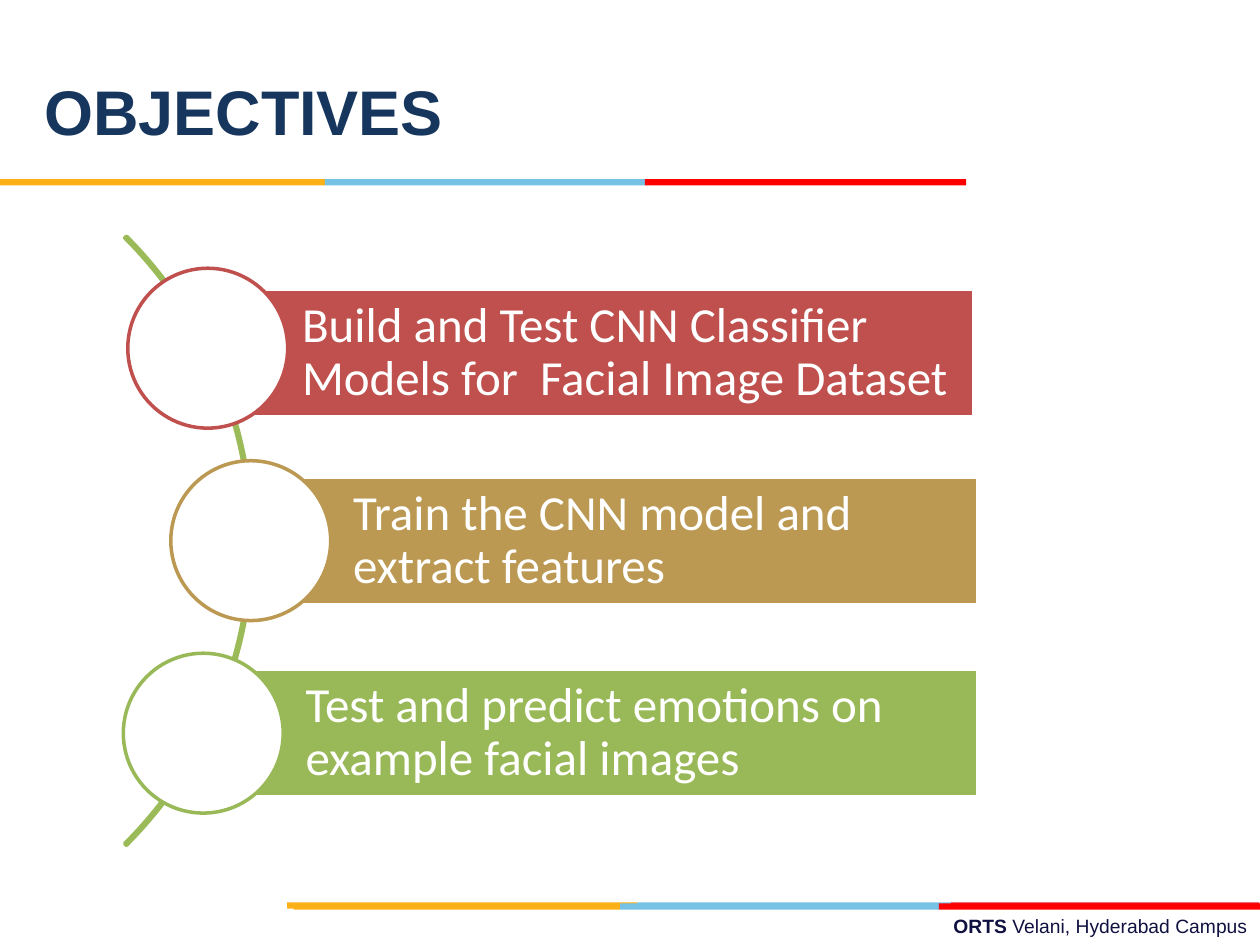
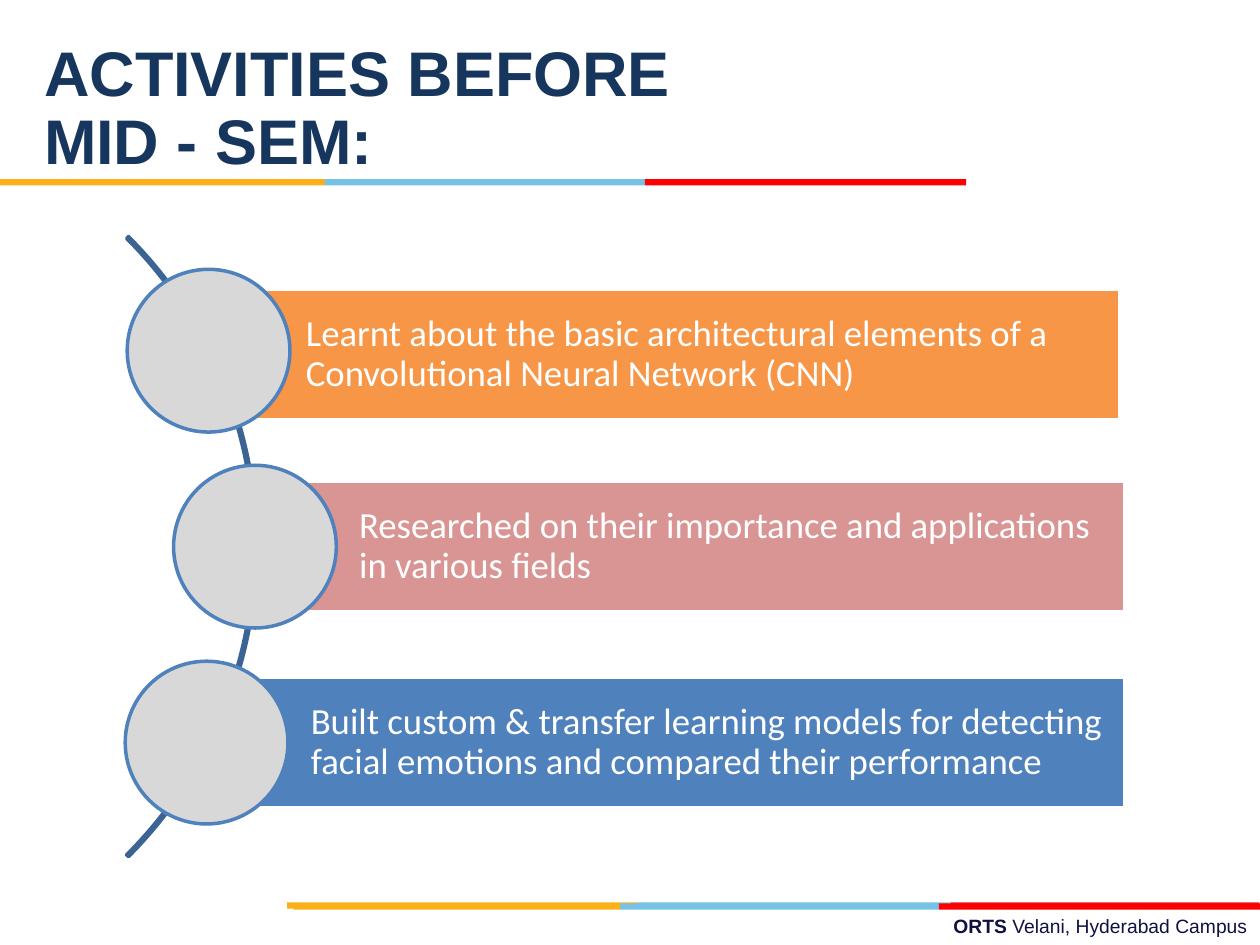
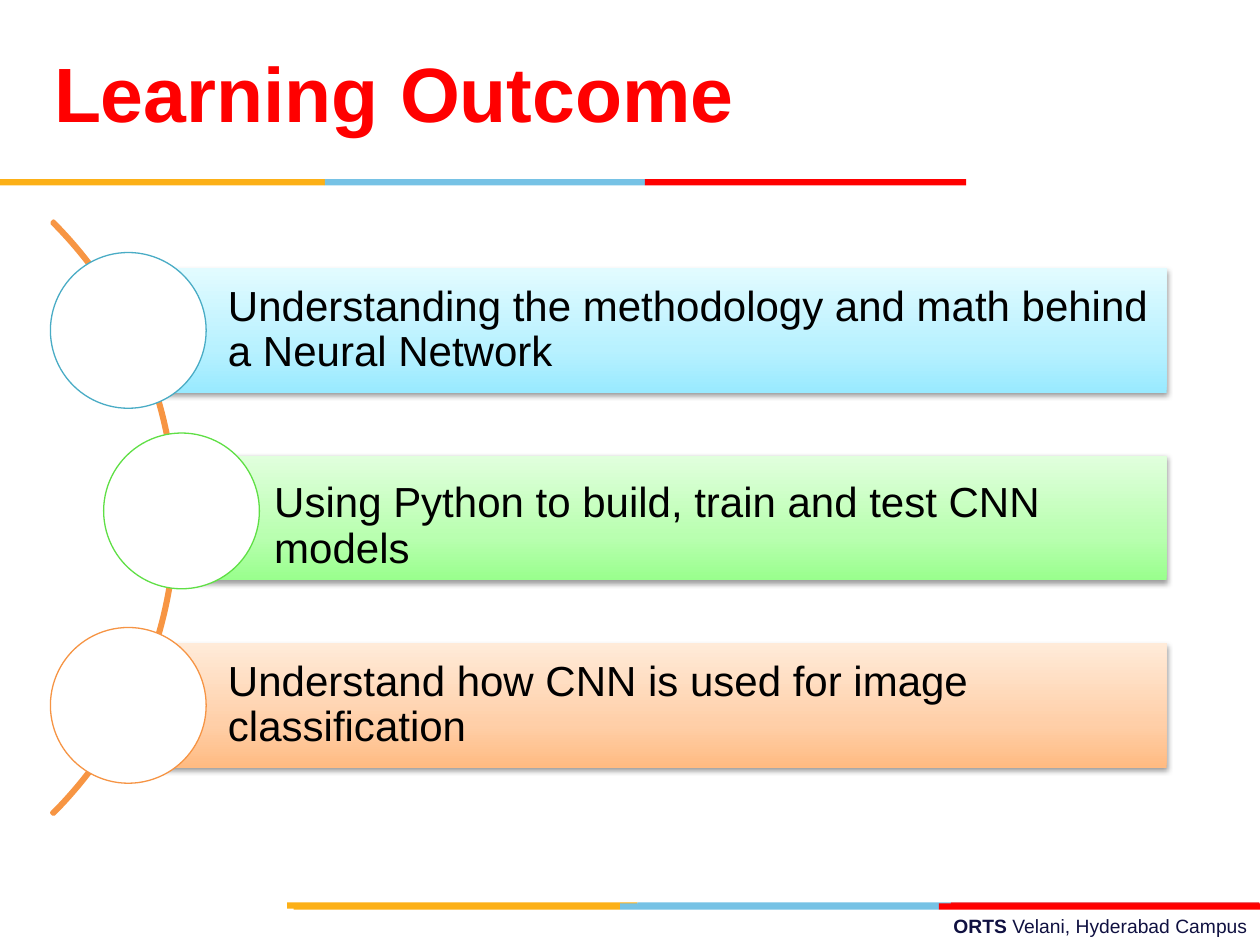
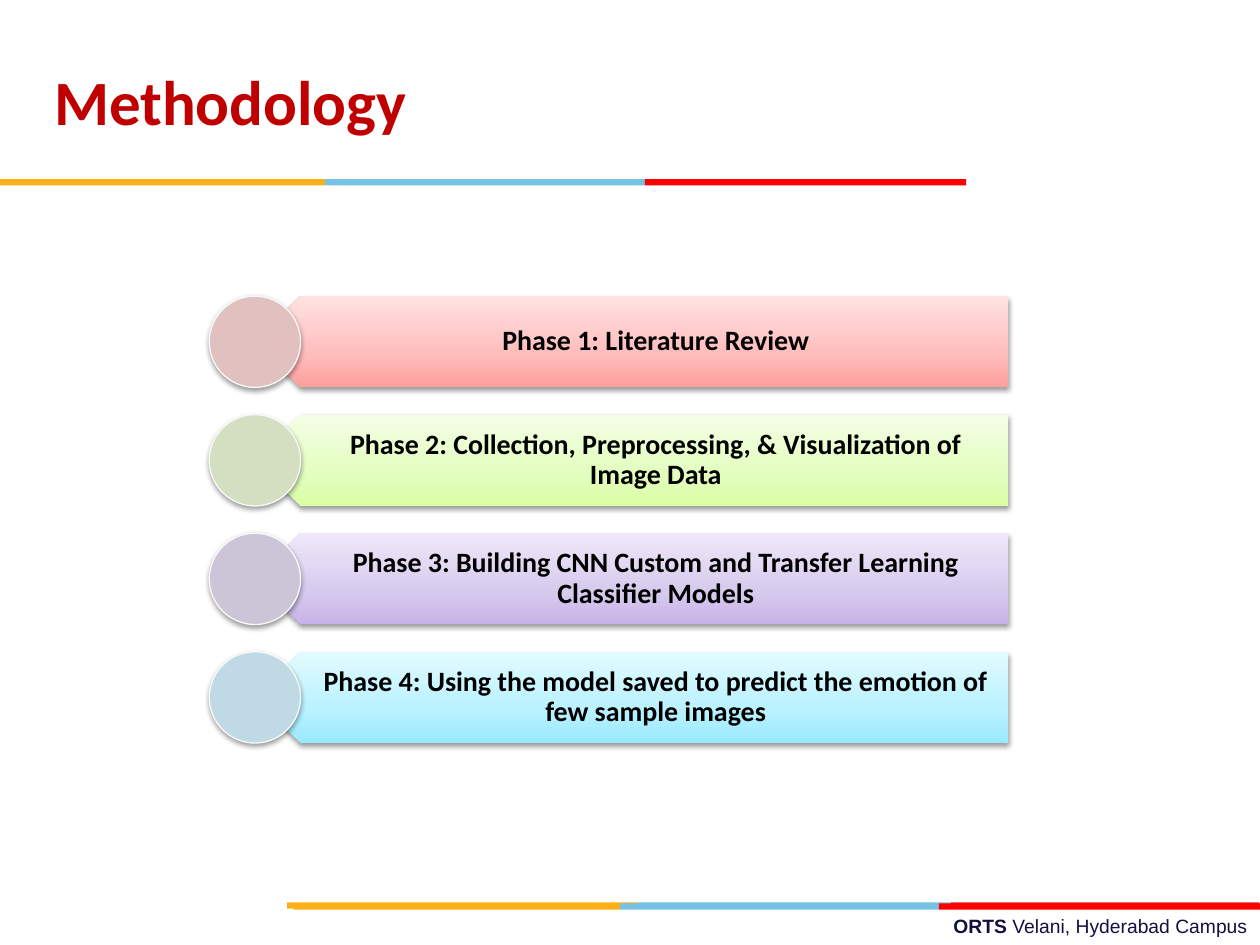
from math import sqrt

from lxml import etree
from pptx import Presentation
from pptx import util as u
from pptx.dml.color import RGBColor
from pptx.enum import shapes, text
from pptx.oxml.ns import qn

Cm, Pt = u.Cm, u.Pt
SHAPE = shapes.MSO_SHAPE
LEFT, CENTER, RIGHT = text.PP_ALIGN.LEFT, text.PP_ALIGN.CENTER, text.PP_ALIGN.RIGHT
TOP, MIDDLE = text.MSO_ANCHOR.TOP, text.MSO_ANCHOR.MIDDLE

WHITE = RGBColor(0xFF, 0xFF, 0xFF)
BLACK = RGBColor(0x00, 0x00, 0x00)
NAVY = RGBColor(0x17, 0x36, 0x5D)
INK = RGBColor(0x10, 0x11, 0x41)
AMBER = RGBColor(0xFC, 0xB0, 0x17)
SKY = RGBColor(0x76, 0xC2, 0xE5)
RED = RGBColor(0xFF, 0x00, 0x00)
CRIMSON = RGBColor(0xE3, 0x1C, 0x24)
DARK_RED = RGBColor(0xC0, 0x00, 0x00)
BRICK = RGBColor(0xBF, 0x50, 0x4D)
SAND = RGBColor(0xBB, 0x99, 0x52)
LEAF = RGBColor(0x99, 0xB9, 0x58)
ARC_GREEN = RGBColor(0x9B, 0xBB, 0x59)
ARC_BLUE = RGBColor(0x3B, 0x64, 0x95)
ARC_ORANGE = RGBColor(0xF7, 0x95, 0x43)
ORANGE = RGBColor(0xF7, 0x96, 0x46)
ROSE = RGBColor(0xD9, 0x95, 0x93)
BLUE = RGBColor(0x4F, 0x81, 0xBD)
SILVER = RGBColor(0xD8, 0xD8, 0xD8)
TEAL = RGBColor(0x49, 0xAC, 0xC5)
LIME = RGBColor(0x5F, 0xDF, 0x45)
APRICOT = RGBColor(0xF6, 0x94, 0x44)
RIM = RGBColor(0xF9, 0xF9, 0xF9)
PALE_RED = RGBColor(0xE1, 0xC1, 0xC0)
PALE_GREEN = RGBColor(0xD4, 0xDF, 0xC1)
PALE_VIOLET = RGBColor(0xCC, 0xC5, 0xD7)
PALE_BLUE = RGBColor(0xC0, 0xDA, 0xE5)


def shades(*hexes):
    """Return the colours of a gradient, from bottom to top."""
    return [RGBColor.from_string(value) for value in hexes]


AQUA_SHADES = shades("99EAFF", "B8F1FF", "E2FBFF")
GREEN_SHADES = shades("99FF8D", "B9FFB0", "E1FFDD")
PEACH_SHADES = shades("FFBB82", "FFCFA8", "FFEBD9")
PINK_SHADES = shades("FFA09D", "FFBCBC", "FFE2E2")
LIME_SHADES = shades("DAFEA4", "E3FEBF", "F4FEE6")
VIOLET_SHADES = shades("C8B2E9", "D6CAED", "EFE8FA")
SHADE_STOPS = (0, 35000, 100000)


def write(frame, words, *, size, color, font="Calibri", bold=False, lead="",
          align=LEFT, anchor=MIDDLE, spacing=None, insets=(0.25, 0.13, 0.25, 0.13)):
    """Fill a text frame, one paragraph per line, after an optional bold lead."""
    frame.word_wrap = True
    frame.vertical_anchor = anchor
    (frame.margin_left, frame.margin_top,
     frame.margin_right, frame.margin_bottom) = map(Cm, insets)
    for index, line in enumerate(words.split("\n")):
        paragraph = frame.add_paragraph() if index else frame.paragraphs[0]
        paragraph.alignment = align
        if spacing:
            paragraph.line_spacing = spacing
        for part, heavy in ((lead, True), (line, bold)):
            if part:
                run = paragraph.add_run()
                run.text = part
                run.font.name, run.font.size = font, Pt(size)
                run.font.bold, run.font.color.rgb = heavy, color


def add_shadow(shape):
    """Give a shape a soft shadow below it."""
    effects = shape._element.spPr.find(qn("a:effectLst"))
    outer = etree.SubElement(effects, qn("a:outerShdw"), blurRad=str(Pt(3.1)),
                             dist=str(Pt(1.6)), dir="5400000", rotWithShape="0")
    black = etree.SubElement(outer, qn("a:srgbClr"), val="000000")
    etree.SubElement(black, qn("a:alpha"), val="38000")


def paint(shape, fill=None, line=None, width=2, shadow=False):
    """Set fill (a colour or a list of shades), outline and shadow."""
    shape.shadow.inherit = False
    if fill is None:
        shape.fill.background()
    elif isinstance(fill, list):
        shape.fill.gradient()
        shape.fill.gradient_angle = 90
        stops = shape._element.spPr.find(qn("a:gradFill")).find(qn("a:gsLst"))
        for stop in list(stops):
            stops.remove(stop)
        for position, color in zip(SHADE_STOPS, fill):
            stop = etree.SubElement(stops, qn("a:gs"), pos=str(position))
            etree.SubElement(stop, qn("a:srgbClr"), val=str(color))
    else:
        shape.fill.solid()
        shape.fill.fore_color.rgb = fill
    if line is None:
        shape.line.fill.background()
    else:
        shape.line.color.rgb = line
        shape.line.width = Pt(width)
    if shadow:
        add_shadow(shape)


def add_figure(slide, kind, box, **look):
    """Add a painted preset shape in a box given in centimetres."""
    figure = slide.shapes.add_shape(kind, *map(Cm, box))
    paint(figure, **look)
    return figure


def add_stripe(slide, left, top, lengths, colors=(AMBER, SKY, RED)):
    """Draw a thin band of three colours end to end."""
    for length, color in zip(lengths, colors):
        add_figure(slide, SHAPE.RECTANGLE, (left, top, length, 0.13), fill=color)
        left += length


def add_frame(deck):
    """Add a slide with the footer and the stripes that all slides share."""
    slide = deck.slides.add_slide(deck.slide_layouts[6])
    footer = slide.shapes.add_textbox(Cm(9.09), Cm(18.31), Cm(16.31), Cm(0.74))
    write(footer.text_frame, "Velani, Hyderabad Campus", lead="ORTS ", size=11,
          color=INK, font="Arial", align=RIGHT, anchor=TOP)
    add_stripe(slide, 5.79, 18.19, (7.06, 6.32, 6.22), (AMBER, SKY, CRIMSON))
    add_stripe(slide, 5.92, 18.21, (6.58, 6.43, 6.48))
    add_stripe(slide, 0, 3.61, (6.55, 6.45, 6.48))
    return slide


def add_title(slide, words, left, top, **style):
    """Place the slide title above the upper stripe."""
    title = slide.shapes.add_textbox(Cm(left), Cm(top), Cm(17.58), Cm(3.18))
    write(title.text_frame, words, bold=True, **style)


def add_arc_list(slide, box, rows, arc_color, *, margin, style, bar_line=None,
                 dot_fill=WHITE, dot_width=2, shadow=False):
    """Draw three bars with dots along an arc whose ends touch the box's left corners."""
    left, top, width, height = box
    radius = height / sqrt(2)
    arc = add_figure(slide, SHAPE.BLOCK_ARC,
                     (left - height / 2 - radius, top + height / 2 - radius,
                      2 * radius, 2 * radius), line=arc_color)
    for index, value in enumerate((189, 27, 0.003)):
        arc.adjustments[index] = value

    bar_height = 0.21 * height
    dot_size = 1.25 * bar_height
    for row, middle, indent in zip(rows, (0.184, 0.5, 0.816), (0.126, 0.204, 0.126)):
        bar_left, center = left + indent * height, top + middle * height
        bar_dx, bar_dy = row.get("bar_shift", (0, 0))
        dot_dx, dot_dy = row.get("dot_shift", (0, 0))
        bar = add_figure(slide, SHAPE.RECTANGLE,
                         (bar_left + bar_dx, center - bar_height / 2 + bar_dy,
                          width - indent * height, bar_height),
                         fill=row["fill"], line=bar_line, shadow=shadow)
        write(bar.text_frame, row["words"], spacing=0.9,
              insets=(0.64 * dot_size, margin + row.get("drop", 0), margin, margin),
              **style)
        add_figure(slide, SHAPE.OVAL,
                   (bar_left - dot_size / 2 + dot_dx, center - dot_size / 2 + dot_dy,
                    dot_size, dot_size),
                   fill=dot_fill, line=row["rim"], width=dot_width)


def add_phase_list(slide, box, phases, row_height):
    """Stack pointed banners evenly in the box, each with a dot on its tip."""
    left, top, width, height = box
    pitch = (height - row_height) / (len(phases) - 1)
    half = row_height / 2
    right = left + width
    for index, (words, fill, dot_fill) in enumerate(phases):
        y = top + index * pitch
        corners = [(left + row_height, y + row_height), (left + half, y + half),
                   (left + row_height, y), (right, y)]
        outline = slide.shapes.build_freeform(Cm(right), Cm(y + row_height))
        outline.add_line_segments([(Cm(a), Cm(b)) for a, b in corners], close=True)
        banner = outline.convert_to_shape()
        paint(banner, fill=fill, shadow=True)
        write(banner.text_frame, words, size=16, color=BLACK, bold=True, align=CENTER,
              spacing=0.9, insets=(1.27, 0.18, 0.3, 0.18))
        add_figure(slide, SHAPE.OVAL, (left, y, row_height, row_height),
                   fill=dot_fill, line=RIM, width=0.75, shadow=True)


def build_objectives(deck):
    """Build the slide of objectives."""
    slide = add_frame(deck)
    add_title(slide, "OBJECTIVES", 0.64, 0.64, size=36, color=NAVY, font="Arial")
    rows = [
        dict(words="Build and Test CNN Classifier Models for  Facial Image Dataset",
             fill=BRICK, rim=BRICK, bar_shift=(-0.07, 0.1), dot_shift=(0.09, 0)),
        dict(words="Train the CNN model and extract features", fill=SAND, rim=SAND),
        dict(words="Test and predict emotions on example facial images",
             fill=LEAF, rim=LEAF),
    ]
    add_arc_list(slide, (2.55, 4.76, 17.16, 12.28), rows, ARC_GREEN, margin=0.2,
                 style=dict(size=28, color=WHITE), bar_line=WHITE)


def build_activities(deck):
    """Build the slide of activities before mid-semester."""
    slide = add_frame(deck)
    add_title(slide, "ACTIVITIES BEFORE\nMID - SEM:", 0.64, 0.64, size=36,
              color=NAVY, font="Arial", spacing=0.9)
    rows = [
        dict(words="Learnt about the basic architectural elements of a "
                   "Convolutional Neural Network (CNN)",
             fill=ORANGE, rim=BLUE, bar_shift=(-0.1, 0.08), dot_shift=(0.04, 0)),
        dict(words="Researched on their importance and applications in various fields",
             fill=ROSE, rim=BLUE),
        dict(words="Built custom & transfer learning models for detecting "
                   "facial emotions and compared their performance",
             fill=BLUE, rim=BLUE),
    ]
    add_arc_list(slide, (2.59, 4.77, 20.09, 12.5), rows, ARC_BLUE, margin=0.15,
                 style=dict(size=21, color=WHITE), bar_line=WHITE, dot_fill=SILVER)


def build_outcome(deck):
    """Build the slide of learning outcomes."""
    slide = add_frame(deck)
    rows = [
        dict(words="Understanding the methodology and math behind a Neural Network",
             fill=AQUA_SHADES, rim=TEAL),
        dict(words="Using Python to build, train and test CNN models",
             fill=GREEN_SHADES, rim=LIME, dot_shift=(0.14, -0.14), drop=0.36),
        dict(words="Understand how CNN is used for image classification",
             fill=PEACH_SHADES, rim=APRICOT),
    ]
    add_arc_list(slide, (1.08, 4.46, 22.44, 11.96), rows, ARC_ORANGE, margin=0.18,
                 style=dict(size=24, color=BLACK, font="Arial"), dot_width=0.75,
                 shadow=True)
    add_title(slide, "Learning Outcome", 0.84, 0.43, size=44, color=RED,
              font="Arial", spacing=0.82)


def build_methodology(deck):
    """Build the slide of project phases."""
    slide = add_frame(deck)
    add_title(slide, "Methodology", 0.84, 0.43, size=36, color=DARK_RED)
    phases = [
        ("Phase 1: Literature Review", PINK_SHADES, PALE_RED),
        ("Phase 2: Collection, Preprocessing, & Visualization of Image Data",
         LIME_SHADES, PALE_GREEN),
        ("Phase 3: Building CNN Custom and Transfer Learning Classifier Models",
         VIOLET_SHADES, PALE_VIOLET),
        ("Phase 4: Using the model saved to predict the emotion of few sample images",
         AQUA_SHADES, PALE_BLUE),
    ]
    add_phase_list(slide, (4.22, 5.97, 16.11, 9.01), phases, row_height=1.84)


def main():
    """Build the deck and save it."""
    deck = Presentation()
    deck.slide_width, deck.slide_height = Cm(25.4), Cm(19.05)
    for build in (build_objectives, build_activities, build_outcome, build_methodology):
        build(deck)
    deck.save("out.pptx")


if __name__ == "__main__":
    main()
